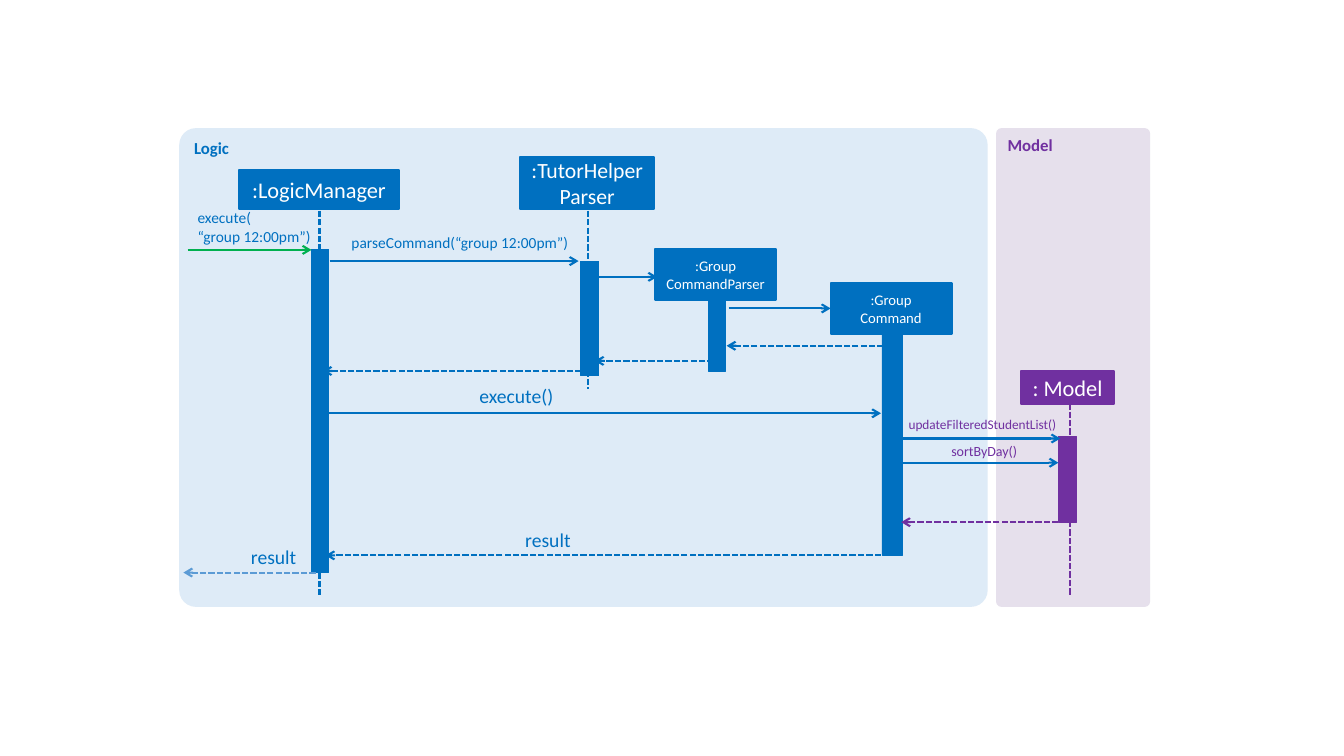
from pptx import Presentation
from pptx.dml.color import RGBColor
from pptx.enum.dml import MSO_LINE
from pptx.enum.shapes import MSO_CONNECTOR, MSO_SHAPE
from pptx.enum.text import MSO_ANCHOR, PP_ALIGN
from pptx.oxml.ns import qn
from pptx.util import Pt
from lxml import etree

BLUE = RGBColor(0x00, 0x70, 0xC0)
LIGHT_BLUE = RGBColor(0x5B, 0x9B, 0xD5)
PALE_BLUE = RGBColor(0xDE, 0xEB, 0xF7)
PURPLE = RGBColor(0x70, 0x30, 0xA0)
PALE_PURPLE = RGBColor(0xE6, 0xE0, 0xEC)
GREEN = RGBColor(0x00, 0xB0, 0x50)
WHITE = RGBColor(0xFF, 0xFF, 0xFF)

PANELS = [
    ("Model", 711.5, 110, PALE_PURPLE, PURPLE),
    ("Logic", 128, 577.5, PALE_BLUE, BLUE),
]
PANEL_TOP, PANEL_HEIGHT = 91.5, 342

LIFELINES = [
    (228.25, 150.5, 425, BLUE),
    (419.75, 150.5, 278, BLUE),
    (764.25, 288, 425, PURPLE),
]
ACTIVATIONS = [
    (222.5, 178, 12.25, 231, BLUE),
    (414.75, 186.5, 13, 82, BLUE),
    (506.25, 206, 12.25, 59, BLUE),
    (630, 234, 14.4, 162.75, BLUE),
    (756, 311.75, 13, 61.25, PURPLE),
]
PARTICIPANTS = [
    (":LogicManager", 170.6, 121.7, 114.5, 27.4, 16, BLUE),
    (":TutorHelperParser", 371.5, 112.3, 95.8, 36.7, 15.5, BLUE),
    (":Group\nCommandParser", 468, 178, 86.4, 36, 10.5, BLUE),
    (":Group\nCommand", 593.3, 202.3, 86.4, 36, 10.5, BLUE),
    (": Model", 729.4, 265, 66.2, 23.8, 16, PURPLE),
]
CALLS = [
    (134, 222.5, 178.5, GREEN),
    (235.5, 413.3, 186.5, BLUE),
    (422, 469.5, 197.75, BLUE),
    (520.5, 593.3, 220.3, BLUE),
    (232.5, 629.3, 295.2, BLUE),
    (641, 757.4, 313.2, BLUE),
    (643.7, 756, 330.5, BLUE),
]
RETURNS = [
    (637.2, 519, 247, BLUE),
    (509.8, 424.8, 257.8, BLUE),
    (415.4, 230.4, 265, BLUE),
    (756, 643.7, 373, PURPLE),
    (629.3, 232.5, 396.7, BLUE),
    (225.4, 131, 409, LIGHT_BLUE),
]
LABELS = [
    ("execute(\n“group 12:00pm”)", 141.1, 149, 97.2, 26.6, 11, BLUE, PP_ALIGN.LEFT),
    ("parseCommand(“group 12:00pm”)", 230.4, 166.3, 175.7, 13.7, 11, BLUE, PP_ALIGN.RIGHT),
    ("execute()", 327.6, 274.3, 67.7, 17.3, 14, BLUE, PP_ALIGN.RIGHT),
    ("updateFilteredStudentList()", 609.8, 297.4, 144.7, 11.5, 9.5, PURPLE, PP_ALIGN.RIGHT),
    ("sortByDay()", 581.8, 316.1, 144.7, 12.2, 10, PURPLE, PP_ALIGN.RIGHT),
    ("result", 358.6, 377.3, 49, 17.3, 14, BLUE, PP_ALIGN.RIGHT),
    ("result", 151.9, 389.5, 59.8, 17.3, 14, BLUE, PP_ALIGN.RIGHT),
]

prs = Presentation()
prs.slide_width, prs.slide_height = Pt(960), Pt(540)
s = prs.slides.add_slide(prs.slide_layouts[6])


def write(sp, text, size, color, align=PP_ALIGN.LEFT, anchor=MSO_ANCHOR.TOP, bold=False, inset=None):
    tf = sp.text_frame
    tf.word_wrap = True
    tf.vertical_anchor = anchor
    if inset is not None:
        tf.margin_left = tf.margin_right = tf.margin_top = tf.margin_bottom = Pt(inset)
    tf.text = text
    for p in tf.paragraphs:
        p.alignment = align
        p.font.name, p.font.size, p.font.bold = "Calibri", Pt(size), bold
        p.font.color.rgb = color


def block(x, y, w, h, fill, line=None, kind=MSO_SHAPE.RECTANGLE):
    sp = s.shapes.add_shape(kind, Pt(x), Pt(y), Pt(w), Pt(h))
    sp.shadow.inherit = False
    sp.fill.solid()
    sp.fill.fore_color.rgb = fill
    if line:
        sp.line.color.rgb, sp.line.width = fill, Pt(line)
    else:
        sp.line.fill.background()
    return sp


def connect(x1, y1, x2, y2, color, dashed=False, arrow=True):
    c = s.shapes.add_connector(MSO_CONNECTOR.STRAIGHT, Pt(x1), Pt(y1), Pt(x2), Pt(y2))
    c.line.color.rgb, c.line.width = color, Pt(1.5)
    if dashed:
        c.line.dash_style = MSO_LINE.SQUARE_DOT
    if arrow:
        etree.SubElement(c.line._get_or_add_ln(), qn("a:tailEnd"), type="arrow")
    etree.SubElement(c._element.spPr, qn("a:effectLst"))


for name, x, w, fill, color in PANELS:
    sp = block(x, PANEL_TOP, w, PANEL_HEIGHT, fill, kind=MSO_SHAPE.ROUNDED_RECTANGLE)
    sp.adjustments[0] = 0.035
    write(sp, name, 12, color, bold=True)

for x, top, bottom, color in LIFELINES:
    connect(x, top, x, bottom, color, dashed=True, arrow=False)

for x, y, w, h, color in ACTIVATIONS:
    block(x, y, w, h, color, line=0.5)

for name, x, y, w, h, size, color in PARTICIPANTS:
    sp = block(x, y, w, h, color, line=1.5)
    write(sp, name, size, WHITE, align=PP_ALIGN.CENTER, anchor=MSO_ANCHOR.MIDDLE)

for messages, dashed in ((CALLS, False), (RETURNS, True)):
    for start, end, y, color in messages:
        connect(start, y, end, y, color, dashed)

for text, x, y, w, h, size, color, align in LABELS:
    sp = s.shapes.add_textbox(Pt(x), Pt(y), Pt(w), Pt(h))
    write(sp, text, size, color, align=align, inset=0)

prs.save("out.pptx")
